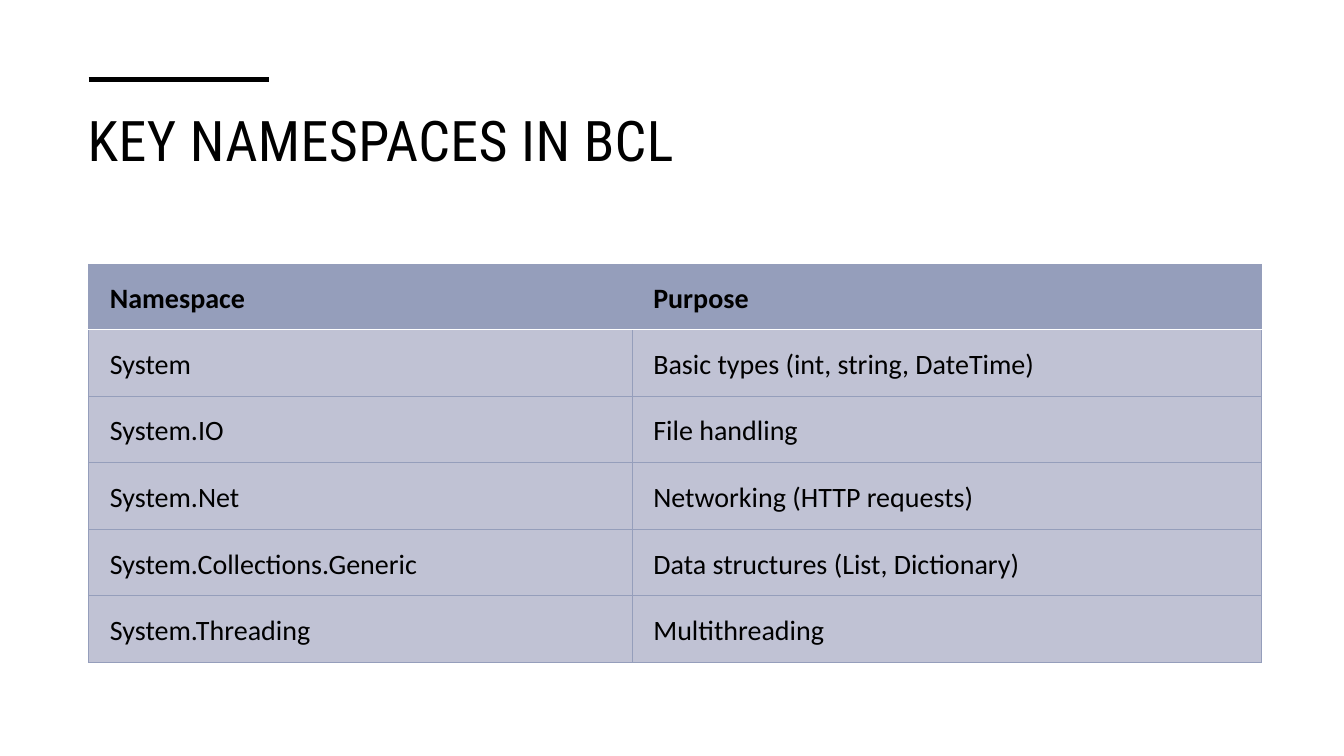
from dataclasses import dataclass

from lxml.etree import SubElement
from pptx import Presentation
from pptx.dml.color import RGBColor as Rgb
from pptx.enum.shapes import MSO_CONNECTOR as Link
from pptx.enum.text import MSO_ANCHOR as Anchor, MSO_AUTO_SIZE as Fit, PP_ALIGN as Align
from pptx.oxml import parse_xml
from pptx.oxml.ns import nsdecls, qn
from pptx.slide import Slide
from pptx.table import _Cell as Cell
from pptx.util import Inches, Pt

COLORS = {"ink": "000000", "head": "959EBB", "body": "C0C2D4", "rule": "FFFFFF"}
LEFT = 0.88
COLS = (5.39, 6.24)
HEAD_H, ROW_H = 0.65, 0.66


@dataclass
class Entry:
    name: str
    use: str


ENTRIES = [
    Entry("Namespace", "Purpose"),
    Entry("System", "Basic types (int, string, DateTime)"),
    Entry("System.IO", "File handling"),
    Entry("System.Net", "Networking (HTTP requests)"),
    Entry("System.Collections.Generic", "Data structures (List, Dictionary)"),
    Entry("System.Threading", "Multithreading"),
]


def color(key: str) -> Rgb:
    return Rgb.from_string(COLORS[key])


def add_bar(slide: Slide) -> None:
    bar = slide.shapes.add_connector(
        Link.STRAIGHT, Inches(LEFT), Inches(0.79), Inches(2.67), Inches(0.79))
    bar.line.color.rgb = color("ink")
    bar.line.width = Pt(3.5)
    SubElement(bar._element.spPr, qn("a:effectLst"))


def set_title(slide: Slide, text: str) -> None:
    title = slide.shapes.title
    title.left, title.top = Inches(0.77), Inches(1)
    title.width, title.height = Inches(11.81), Inches(1.15)
    frame = title.text_frame
    frame.text = text
    frame.word_wrap = True
    frame.auto_size = Fit.NONE
    frame.vertical_anchor = Anchor.TOP
    para = frame.paragraphs[0]
    para.alignment = Align.LEFT
    para.font.name = "Roboto Condensed"
    para.font.size = Pt(40)
    para.font.color.rgb = color("ink")
    para.runs[0].font._element.set("spc", "30")


def set_edges(cell: Cell, row: int) -> None:
    white = {0: "B", 1: "T"}.get(row)
    props = cell._tc.get_or_add_tcPr()
    for spot, side in enumerate("LRTB"):
        key, width = ("rule", 1) if side == white else ("head", 0.5)
        props.insert(spot, parse_xml(
            f'<a:ln{side} {nsdecls("a")} w="{Pt(width)}"><a:solidFill>'
            f'<a:srgbClr val="{COLORS[key]}"/></a:solidFill></a:ln{side}>'))


def fill_cell(cell: Cell, text: str, row: int) -> None:
    cell.text = text
    cell.vertical_anchor = Anchor.MIDDLE
    cell.margin_left, cell.margin_top = Inches(0.21), Inches(0.16)
    cell.margin_right, cell.margin_bottom = Inches(0.16), Inches(0.12)
    cell.fill.solid()
    cell.fill.fore_color.rgb = color("body" if row else "head")
    font = cell.text_frame.paragraphs[0].font
    font.name = "Calibri"
    font.size = Pt(20)
    font.bold = row == 0
    font.color.rgb = color("ink")
    set_edges(cell, row)


def add_grid(slide: Slide) -> None:
    high = HEAD_H + ROW_H * (len(ENTRIES) - 1)
    grid = slide.shapes.add_table(
        len(ENTRIES), len(COLS), Inches(LEFT), Inches(2.62),
        Inches(sum(COLS)), Inches(high)).table
    for col, width in zip(grid.columns, COLS):
        col.width = Inches(width)
    for row, entry in enumerate(ENTRIES):
        grid.rows[row].height = Inches(ROW_H if row else HEAD_H)
        for col, text in enumerate((entry.name, entry.use)):
            fill_cell(grid.cell(row, col), text, row)


def main() -> None:
    deck = Presentation()
    deck.slide_width, deck.slide_height = Inches(13.33), Inches(7.5)
    slide = deck.slides.add_slide(deck.slide_layouts[5])
    add_bar(slide)
    set_title(slide, "KEY NAMESPACES IN BCL")
    add_grid(slide)
    deck.save("out.pptx")


if __name__ == "__main__":
    main()
